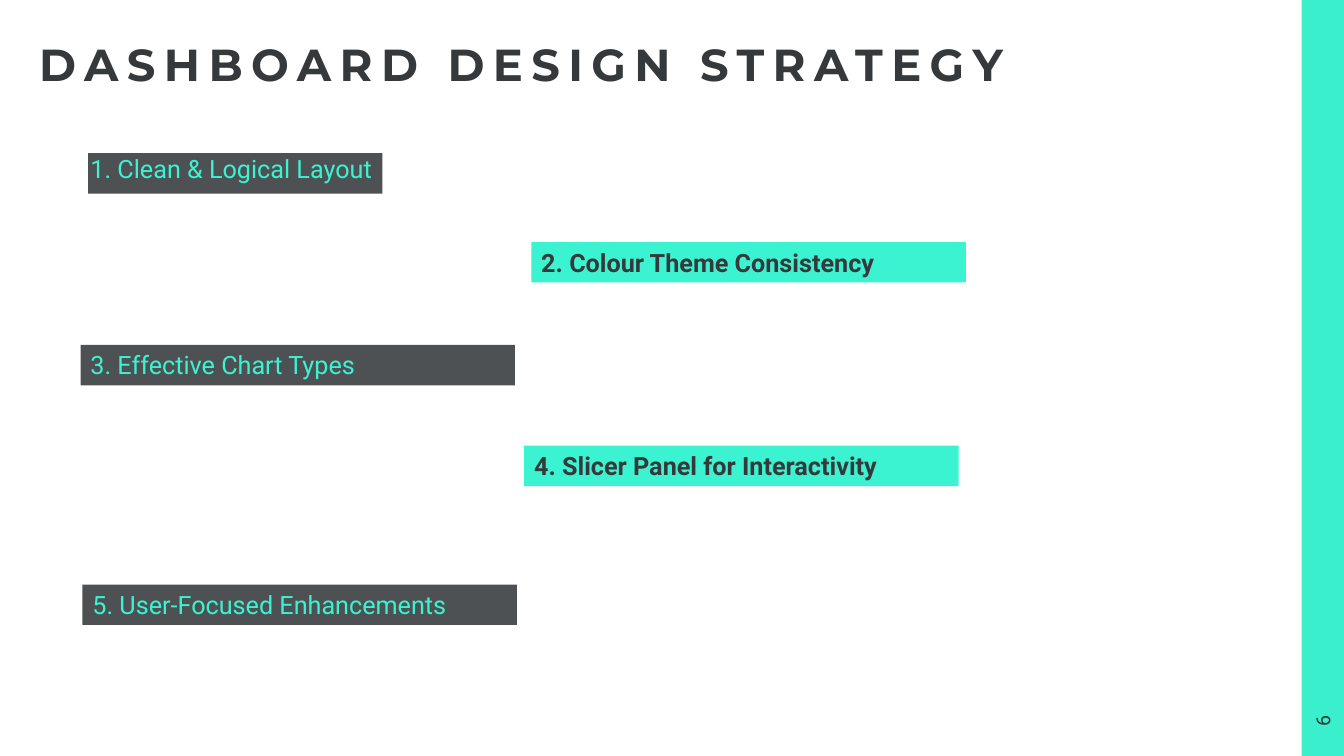
from pptx import Presentation
from pptx.dml.color import RGBColor
from pptx.enum import shapes, text
from pptx.util import Cm, Pt

# Content
TITLE = "DASHBOARD DESIGN STRATEGY"
PAGE = "6"
INK, SLATE, MINT, EDGE = "36393B", "4E5153", "3CF3D1", "3AEFCC"
# label, left, top (cm)
STEPS = [
    ("1. Clean & Logical Layout", 2.03, 3.73),
    ("2. Colour Theme Consistency", 13.39, 6.1),
    ("3. Effective Chart Types", 2.03, 8.69),
    ("4. Slicer Panel for Interactivity", 13.21, 11.23),
    ("5. User-Focused Enhancements", 2.08, 14.73),
]
STEP_W, STEP_H = 10.95, 1.02
SLIDE_W, SLIDE_H, EDGE_W = 33.87, 19.05, 1.07


def rgb(value):
    return RGBColor.from_string(value)


def add_bar(box, fill):
    sp = s.shapes.add_shape(shapes.MSO_SHAPE.RECTANGLE, *map(Cm, box))
    sp.shadow.inherit = False
    sp.fill.solid()
    sp.fill.fore_color.rgb = rgb(fill)
    sp.line.fill.background()
    return sp


def add_box(box):
    return s.shapes.add_textbox(*map(Cm, box))


def write(sp, words, size, color, font="Roboto", bold=False,
          align=text.PP_ALIGN.LEFT, anchor=text.MSO_ANCHOR.TOP):
    tf = sp.text_frame
    tf.word_wrap = True
    tf.vertical_anchor = anchor
    p = tf.paragraphs[0]
    p.alignment = align
    r = p.add_run()
    r.text = words
    r.font.size, r.font.name, r.font.bold = Pt(size), font, bold
    r.font.color.rgb = rgb(color)
    return tf, p, r


prs = Presentation()
prs.slide_width, prs.slide_height = Cm(SLIDE_W), Cm(SLIDE_H)
s = prs.slides.add_slide(prs.slide_layouts[6])

# Right edge band
add_bar((SLIDE_W - EDGE_W, 0, EDGE_W, SLIDE_H), EDGE)

# Title
tf, p, r = write(add_box((0.74, 0.84, 29.69, 3.3)), TITLE, 32, INK,
                 font="Montserrat", bold=True)
tf.margin_left = tf.margin_top = Cm(0.25)
tf.margin_right = tf.margin_bottom = 0
p.line_spacing = 0.9
r.font._element.set("spc", "600")

# Steps: odd ones mint on slate, even ones bold ink on mint
add_bar((2.22, 3.86, 7.42, STEP_H), SLATE)  # short plate behind step 1
for i, (label, left, top) in enumerate(STEPS):
    even = i % 2 == 1
    box = (left, top, STEP_W, STEP_H)
    sp = add_bar(box, MINT if even else SLATE) if i else add_box(box)
    tf, p, r = write(sp, label, 18, INK if even else MINT, bold=even)
    tf.auto_size = text.MSO_AUTO_SIZE.SHAPE_TO_FIT_TEXT

# Page number, turned to read along the band
sp = add_box((32.44, 17.63, 1.78, EDGE_W))
sp.rotation = 270
write(sp, PAGE, 14, INK, align=text.PP_ALIGN.CENTER,
      anchor=text.MSO_ANCHOR.MIDDLE)

prs.save("out.pptx")
